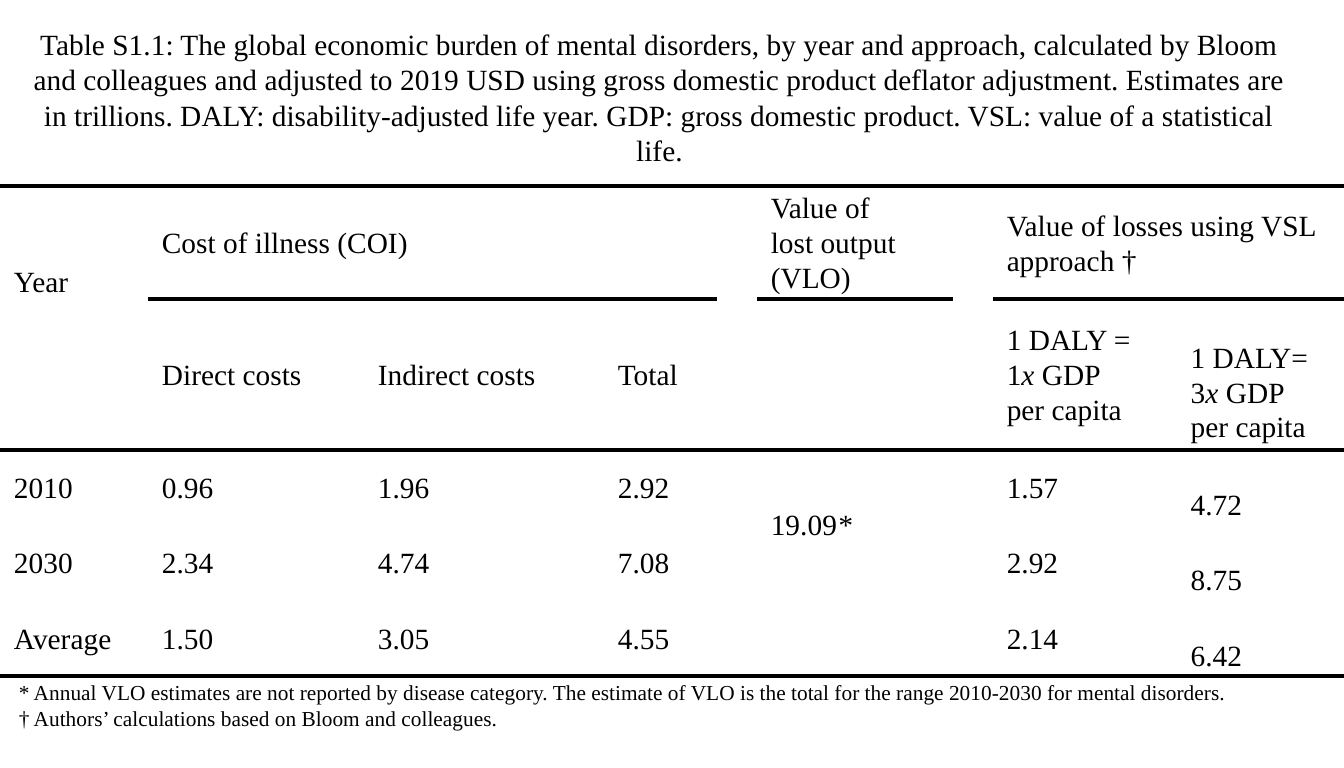
import pptx
import pptx.dml.color
import pptx.enum.text
import pptx.oxml
import pptx.oxml.ns
import pptx.util

ANCHOR = pptx.enum.text.MSO_ANCHOR
ALIGN = pptx.enum.text.PP_ALIGN
BLACK = pptx.dml.color.RGBColor(0, 0, 0)
PX = 914400 // 192
FONT = "Times New Roman"

CAPTION = [
    "Table S1.1: The global economic burden of mental disorders, by year and approach, "
    "calculated by Bloom and colleagues and adjusted to 2019 USD using gross domestic "
    "product deflator adjustment. Estimates are in trillions. DALY: disability-adjusted "
    "life year. GDP: gross domestic product. VSL: value of a statistical life."
]
FOOTNOTES = [
    "* Annual VLO estimates are not reported by disease category. The estimate of VLO is "
    "the total for the range 2010-2030 for mental disorders.",
    "† Authors’ calculations based on Bloom and colleagues.",
]
# Underscores enclose italic text.
BURDEN = [
    ["Year", "Cost of illness (COI)", "", "", "", "Value of\nlost output (VLO)", "",
     "Value of losses using VSL approach †", ""],
    ["", "Direct costs", "Indirect costs", "Total", "", "", "",
     "1 DALY =\n1_x_ GDP\nper capita", "1 DALY= 3_x_ GDP\nper capita"],
    ["2010", "0.96", "1.96", "2.92", "", "19.09_*_", "", "1.57", "4.72"],
    ["2030", "2.34", "4.74", "7.08", "", "", "", "2.92", "8.75"],
    ["Average", "1.50", "3.05", "4.55", "", "", "", "2.14", "6.42"],
]
COLUMN_WIDTHS = [148, 216, 240, 113, 40, 196, 40, 184, 167]
ROW_HEIGHTS = [113, 151, 75, 75, 76]
TABLE_TOP = 186
MERGES = [((0, 1), (0, 3)), ((0, 7), (0, 8)), ((2, 5), (3, 5))]
ALL_COLUMNS = set(range(len(COLUMN_WIDTHS)))
RULES = {0: ALL_COLUMNS, 1: {1, 2, 3, 5, 7, 8}, 2: ALL_COLUMNS, 5: ALL_COLUMNS}
LAST_COLUMN_DROP = 35
CELL_FORMAT = {"margin_left": 14 * PX, "margin_right": 14 * PX,
               "margin_top": 0, "margin_bottom": 0,
               "vertical_anchor": ANCHOR.MIDDLE}


def write(frame, paragraphs, size, paragraph_format):
    for index, text in enumerate(paragraphs):
        paragraph = frame.paragraphs[0] if index == 0 else frame.add_paragraph()
        for name, value in paragraph_format.items():
            setattr(paragraph, name, value)
        for part, words in enumerate(text.split("_")):
            if words:
                run = paragraph.add_run()
                run.text = words
                font_format = {"name": FONT, "size": pptx.util.Pt(size),
                               "bold": False, "italic": part % 2 == 1}
                for name, value in font_format.items():
                    setattr(run.font, name, value)
                run.font.color.rgb = BLACK


def add_note(slide, bounds, paragraphs, size, align):
    frame = slide.shapes.add_textbox(*(length * PX for length in bounds)).text_frame
    frame.word_wrap = True
    frame.auto_size = pptx.enum.text.MSO_AUTO_SIZE.SHAPE_TO_FIT_TEXT
    write(frame, paragraphs, size, {"alignment": align})


def set_borders(cell, row, column):
    ruled = {"lnL": False, "lnR": False,
             "lnT": column in RULES.get(row, ()),
             "lnB": column in RULES.get(row + 1, ())}
    properties = cell._tc.get_or_add_tcPr()
    for position, (side, visible) in enumerate(ruled.items()):
        paint = (f'<a:solidFill><a:srgbClr val="{BLACK}"/></a:solidFill>'
                 if visible else "<a:noFill/>")
        properties.insert(position, pptx.oxml.parse_xml(
            f'<a:{side} {pptx.oxml.ns.nsdecls("a")} w="{pptx.util.Pt(1.5)}">'
            f'{paint}</a:{side}>'))


def add_burden_table(slide):
    table = slide.shapes.add_table(
        len(ROW_HEIGHTS), len(COLUMN_WIDTHS), 0, TABLE_TOP * PX,
        sum(COLUMN_WIDTHS) * PX, sum(ROW_HEIGHTS) * PX).table
    table.first_row = False
    table.horz_banding = False
    for column, width in zip(table.columns, COLUMN_WIDTHS):
        column.width = width * PX
    for row, height in zip(table.rows, ROW_HEIGHTS):
        row.height = height * PX
    for first, last in MERGES:
        table.cell(*first).merge(table.cell(*last))
    for row, entries in enumerate(BURDEN):
        for column, entry in enumerate(entries):
            cell = table.cell(row, column)
            for name, value in CELL_FORMAT.items():
                setattr(cell, name, value)
            if entry == "Year":
                cell.vertical_anchor = ANCHOR.BOTTOM
            if entry and column == len(entries) - 1:
                cell.margin_top = LAST_COLUMN_DROP * PX
            cell.fill.background()
            set_borders(cell, row, column)
            if entry:
                write(cell.text_frame, entry.split("\n"), 11, {"line_spacing": 1.07})


def main():
    deck = pptx.Presentation()
    deck.slide_width = 1344 * PX
    deck.slide_height = 768 * PX
    slide = deck.slides.add_slide(deck.slide_layouts[6])
    add_note(slide, (0, 17, 1319, 127), CAPTION, 11, ALIGN.CENTER)
    add_burden_table(slide)
    add_note(slide, (0, 670, 1344, 71), FOOTNOTES, 8, ALIGN.LEFT)
    deck.save("out.pptx")


if __name__ == "__main__":
    main()
